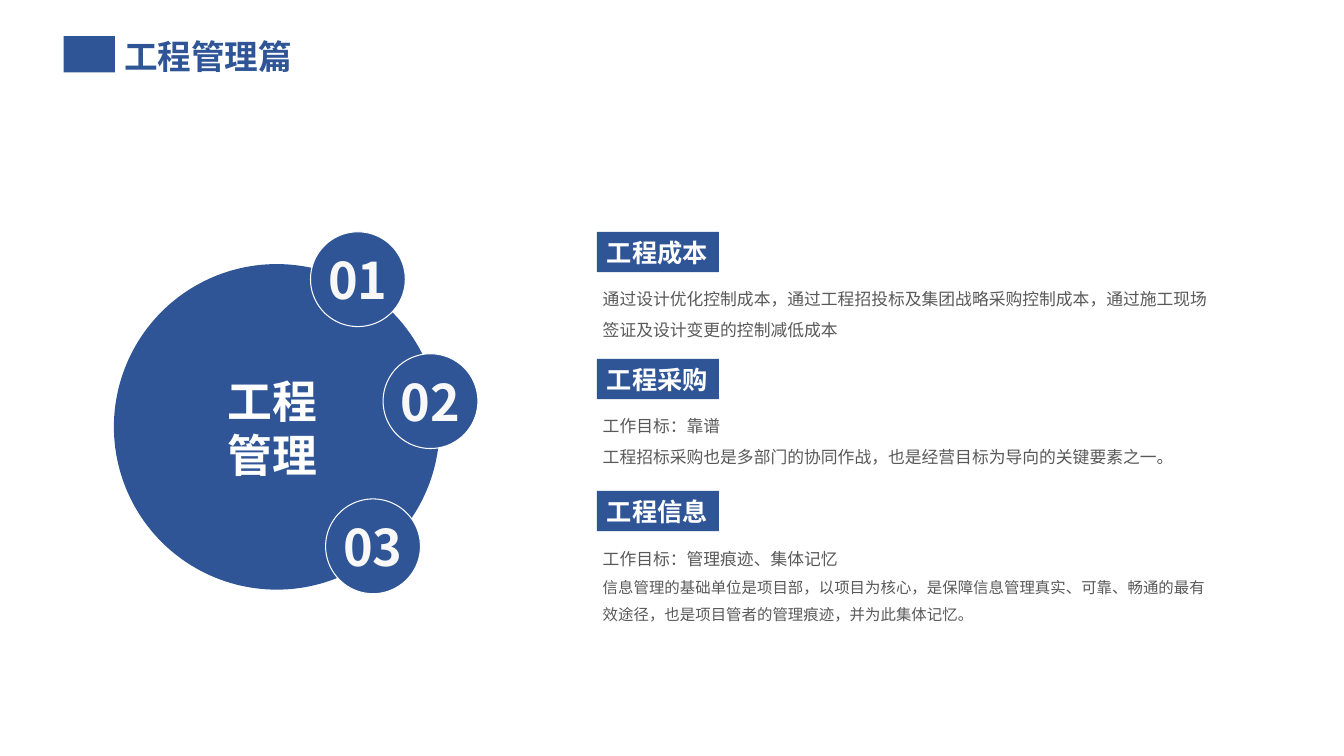
"""Build the engineering management slide with three numbered topics."""
from lxml import etree
from pptx import Presentation
from pptx.dml.color import RGBColor
from pptx.enum import shapes, text
from pptx.oxml import ns
from pptx.util import Inches, Pt

BLUE = RGBColor(0x2F, 0x55, 0x97)
WHITE = RGBColor(0xFF, 0xFF, 0xFF)
OFF_WHITE = RGBColor(0xF8, 0xF8, 0xF8)
GRAY = RGBColor(0x59, 0x59, 0x59)
FONT = "Noto Sans CJK SC"


def add_blue(preset, left, top, width, height):
    shape = slide.shapes.add_shape(
        preset, Inches(left), Inches(top), Inches(width), Inches(height))
    shape.shadow.inherit = False
    shape.fill.solid()
    shape.fill.fore_color.rgb = BLUE
    shape.line.fill.background()
    return shape


def write(shape, lines, sizes, color, bold=True, align=text.PP_ALIGN.LEFT,
          anchor=text.MSO_ANCHOR.TOP, wrap=True, spacing=1.0):
    frame = shape.text_frame
    frame.text = "\n".join(lines)
    frame.word_wrap = wrap
    frame.auto_size = text.MSO_AUTO_SIZE.NONE
    frame.vertical_anchor = anchor
    for paragraph, size in zip(frame.paragraphs, sizes):
        paragraph.alignment = align
        paragraph.line_spacing = spacing
        for run in paragraph.runs:
            run.font.size = Pt(size)
            run.font.bold = bold
            run.font.color.rgb = color
            run.font.name = FONT
            latin = run.font._element.find(ns.qn("a:latin"))
            east_asian = etree.Element(ns.qn("a:ea"), typeface=FONT)
            latin.addnext(east_asian)


prs = Presentation()
prs.slide_width = Inches(13.33)
prs.slide_height = Inches(7.5)
slide = prs.slides.add_slide(prs.slide_layouts[5])

heading = slide.shapes.title
heading.left, heading.top = Inches(1.13), Inches(0.31)
heading.width, heading.height = Inches(2.24), Inches(0.5)
write(heading, ["工程管理篇"], [24], BLUE)
add_blue(shapes.MSO_SHAPE.RECTANGLE, 0.63, 0.36, 0.51, 0.36)

add_blue(shapes.MSO_SHAPE.OVAL, 1.13, 2.62, 3.23, 3.23)
hub_caption = slide.shapes.add_textbox(
    Inches(1.76), Inches(3.66), Inches(1.89), Inches(1.18))
write(hub_caption, ["工程", "管理"], [32, 32], WHITE, align=text.PP_ALIGN.CENTER)

for number, left, top in [("01", 3.08, 2.3), ("02", 3.8, 3.51), ("03", 3.23, 4.95)]:
    badge = add_blue(shapes.MSO_SHAPE.OVAL, left, top, 0.94, 0.94)
    badge.line.color.rgb = WHITE
    badge.line.width = Pt(0.75)
    write(badge, [number], [36], OFF_WHITE, align=text.PP_ALIGN.CENTER,
          anchor=text.MSO_ANCHOR.MIDDLE, wrap=False)

topics = [
    ("工程成本", 2.3, 0.67, [12],
     ["通过设计优化控制成本，通过工程招投标及集团战略采购控制成本，通过施工现场签证及设计变更的控制减低成本"]),
    ("工程采购", 3.56, 0.67, [12, 12],
     ["工作目标：靠谱",
      "工程招标采购也是多部门的协同作战，也是经营目标为导向的关键要素之一。"]),
    ("工程信息", 4.87, 0.96, [12, 11],
     ["工作目标：管理痕迹、集体记忆",
      "信息管理的基础单位是项目部，以项目为核心，是保障信息管理真实、可靠、畅通的最有效途径，"
      "也是项目管者的管理痕迹，并为此集体记忆。"]),
]
for topic, top, detail_height, sizes, lines in topics:
    tag = add_blue(shapes.MSO_SHAPE.RECTANGLE, 5.92, top, 1.21, 0.4)
    write(tag, [topic], [18], WHITE, anchor=text.MSO_ANCHOR.MIDDLE, wrap=False)
    detail = slide.shapes.add_textbox(
        Inches(5.88), Inches(top + 0.42), Inches(6.3), Inches(detail_height))
    write(detail, lines, sizes, GRAY, bold=False, spacing=1.5)

prs.save("out.pptx")
